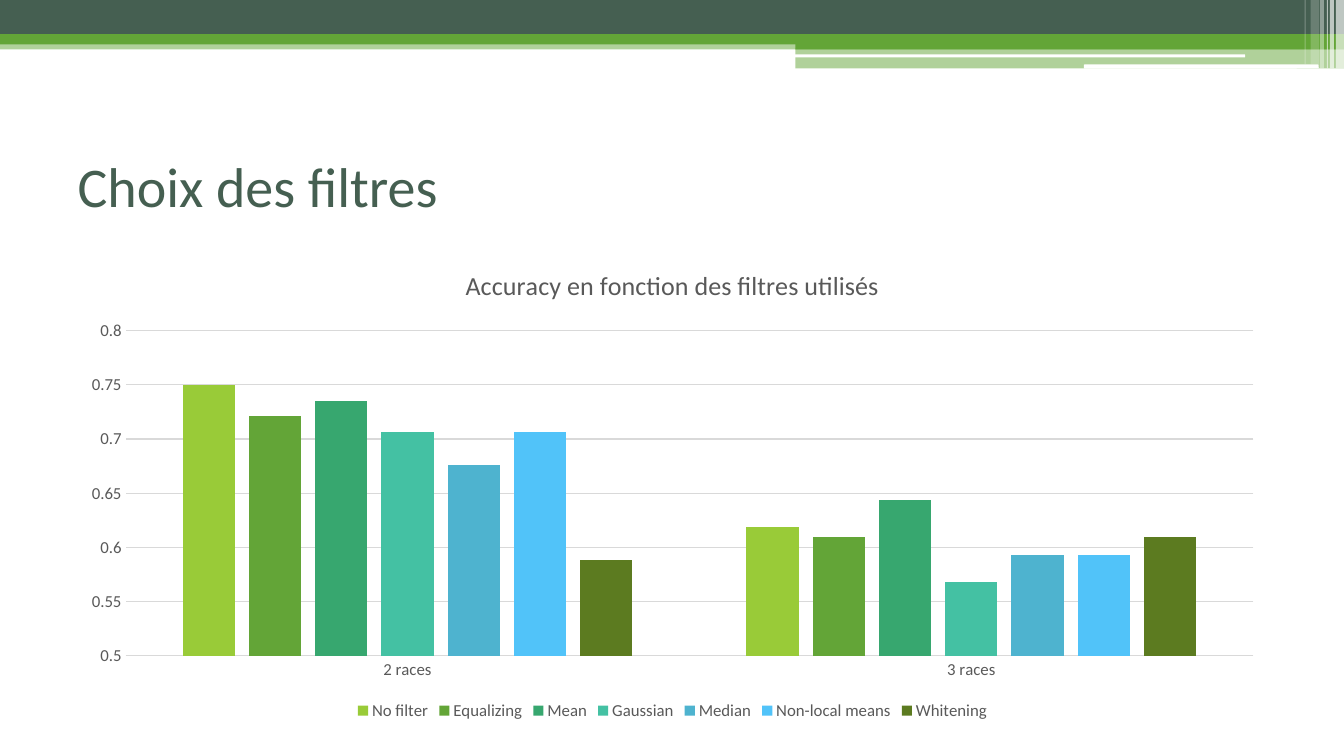
from dataclasses import dataclass

from lxml.etree import SubElement
from pptx import Presentation
from pptx.chart.data import CategoryChartData
from pptx.dml.color import RGBColor
from pptx.enum.chart import XL_CHART_TYPE, XL_LEGEND_POSITION, XL_TICK_MARK
from pptx.enum.shapes import MSO_SHAPE
from pptx.enum.text import MSO_ANCHOR, PP_ALIGN
from pptx.oxml.ns import qn
from pptx.util import Inches, Pt

FONT = "Calibri"
DARK, GREEN, WHITE = "455F51", "63A537", "FFFFFF"
GREY, RULE = "595959", "D9D9D9"


@dataclass
class Band:
    left: float
    top: float
    width: float
    height: float
    color: str
    opacity: int = 100
    rounded: bool = False


@dataclass
class Filter:
    name: str
    accuracy: tuple[float, float]
    color: str


BANDS = [
    # Full-width bands
    Band(0, 0.4, 13.33, 0.09, GREEN, 50),
    Band(0, 0, 13.33, 0.34, DARK),
    Band(0, 0.34, 13.33, 0.1, GREEN),
    # Right-hand step
    Band(7.89, 0.39, 5.44, 0.1, GREEN),
    Band(7.89, 0.48, 5.44, 0.2, GREEN, 50),
    Band(7.88, 0.54, 4.47, 0.03, WHITE, rounded=True),
    Band(10.75, 0.64, 2.33, 0.04, WHITE, rounded=True),
    # Vertical stripes
    Band(13.25, 0, 0.08, 0.68, WHITE, 65),
    Band(13.19, 0, 0.04, 0.68, WHITE, 65),
    Band(13.16, 0, 0.01, 0.68, WHITE, 60),
    Band(13.09, 0, 0.04, 0.68, WHITE, 40),
    Band(13, 0, 0.08, 0.64, WHITE, 20),
    Band(12.94, 0, 0.01, 0.64, WHITE, 30),
]

RACES = ("2 races", "3 races")
FILTERS = [
    Filter("No filter", (0.75, 0.619), "99CB38"),
    Filter("Equalizing", (0.721, 0.61), "63A537"),
    Filter("Mean", (0.735, 0.644), "37A76F"),
    Filter("Gaussian", (0.706, 0.568), "44C1A3"),
    Filter("Median", (0.676, 0.593), "4EB3CF"),
    Filter("Non-local means", (0.706, 0.593), "51C3F9"),
    Filter("Whitening", (0.588, 0.61), "5C7B20"),
]


def rgb(color: str) -> RGBColor:
    return RGBColor.from_string(color)


def set_all(target, values: dict) -> None:
    for name, value in values.items():
        setattr(target, name, value)


def set_font(font, size: float, color: str) -> None:
    set_all(font, {"name": FONT, "size": Pt(size), "bold": False})
    font.color.rgb = rgb(color)


def set_line(line) -> None:
    line.color.rgb = rgb(RULE)
    line.width = Pt(0.75)


def add_band(s, band: Band) -> None:
    kind = MSO_SHAPE.ROUNDED_RECTANGLE if band.rounded else MSO_SHAPE.RECTANGLE
    sp = s.shapes.add_shape(kind, Inches(band.left), Inches(band.top),
                            Inches(band.width), Inches(band.height))
    sp.shadow.inherit = False
    sp.line.fill.background()
    sp.fill.solid()
    sp.fill.fore_color.rgb = rgb(band.color)
    if band.opacity < 100:
        clr = sp.fill._xPr.find(qn("a:solidFill"))[0]
        SubElement(clr, qn("a:alpha"), val=str(band.opacity * 1000))


def format_title(title, text: str) -> None:
    set_all(title, {"left": Inches(0.67), "top": Inches(1.25),
                    "width": Inches(12), "height": Inches(1.17)})
    tf = title.text_frame
    set_all(tf, {"text": text, "vertical_anchor": MSO_ANCHOR.MIDDLE, "word_wrap": True})
    p = tf.paragraphs[0]
    p.alignment = PP_ALIGN.LEFT
    set_font(p.runs[0].font, 40, DARK)


def add_accuracy_chart(s) -> None:
    data = CategoryChartData()
    data.categories = RACES
    for item in FILTERS:
        data.add_series(item.name, item.accuracy)
    chart = s.shapes.add_chart(XL_CHART_TYPE.COLUMN_CLUSTERED, Inches(0.67), Inches(2.46),
                               Inches(12), Inches(4.73), data).chart
    set_font(chart.font, 12, GREY)

    # Chart title and legend
    chart.has_title = True
    tf = chart.chart_title.text_frame
    tf.text = "Accuracy en fonction des filtres utilisés"
    set_font(tf.paragraphs[0].runs[0].font, 18.6, GREY)
    chart.chart_title.include_in_layout = False
    chart.has_legend = True
    set_all(chart.legend, {"position": XL_LEGEND_POSITION.BOTTOM, "include_in_layout": False})
    set_font(chart.legend.font, 12, GREY)

    # Axes
    for axis in (chart.category_axis, chart.value_axis):
        set_all(axis, {"major_tick_mark": XL_TICK_MARK.NONE,
                       "minor_tick_mark": XL_TICK_MARK.NONE})
        set_font(axis.tick_labels.font, 12, GREY)
    set_line(chart.category_axis.format.line)
    value_axis = chart.value_axis
    set_all(value_axis, {"minimum_scale": 0.5, "maximum_scale": 0.8, "major_unit": 0.05,
                         "has_major_gridlines": True})
    value_axis.format.line.fill.background()
    set_line(value_axis.major_gridlines.format.line)

    # Columns
    plot = chart.plots[0]
    set_all(plot, {"gap_width": 219, "overlap": -27, "vary_by_categories": False})
    for series, item in zip(plot.series, FILTERS):
        series.invert_if_negative = False
        series.format.fill.solid()
        series.format.fill.fore_color.rgb = rgb(item.color)


def main() -> None:
    prs = Presentation()
    set_all(prs, {"slide_width": Inches(13.33), "slide_height": Inches(7.5)})
    s = prs.slides.add_slide(prs.slide_layouts[5])
    for band in BANDS:
        add_band(s, band)
    format_title(s.shapes.title, "Choix des filtres")
    add_accuracy_chart(s)
    prs.save("out.pptx")


if __name__ == "__main__":
    main()
